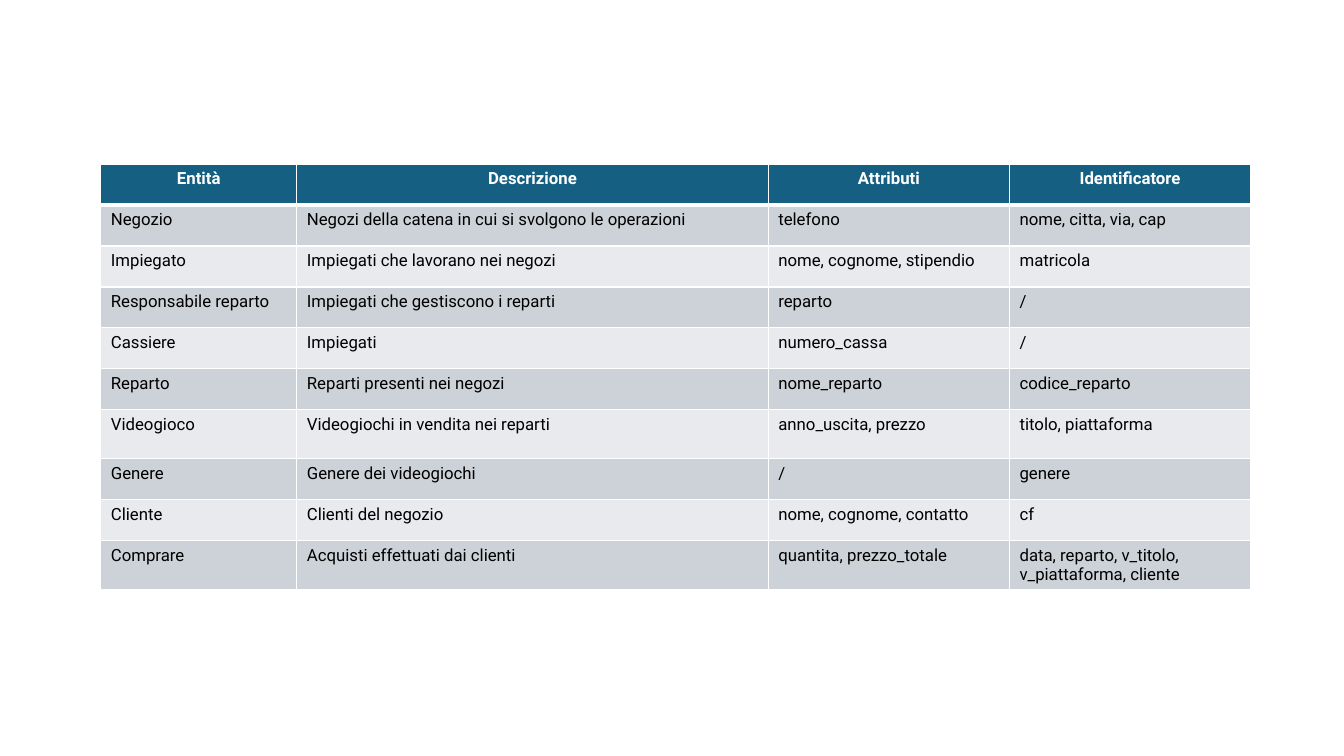
import dataclasses

import pptx
import pptx.dml.color
import pptx.enum.text
import pptx.oxml
import pptx.oxml.ns
import pptx.util

Cm = pptx.util.Cm
Pt = pptx.util.Pt
RGB = pptx.dml.color.RGBColor.from_string
Align = pptx.enum.text.PP_ALIGN


@dataclasses.dataclass(frozen=True)
class Theme:
    """Colours, font and sizes of the slide."""
    font: str = "Roboto"
    size: int = 12
    head: str = "156082"
    bands: tuple = ("CCD2D8", "E8EAED")
    light: str = "FFFFFF"
    dark: str = "000000"
    thin: int = 1
    thick: int = 3


THEME = Theme()
COLS = (4.94, 11.88, 6.08, 6.08)
LOW, TALL = 1.03, 1.24
ROWS = (
    (LOW, "Entità", "Descrizione", "Attributi", "Identificatore"),
    (LOW, "Negozio", "Negozi della catena in cui si svolgono le operazioni",
     "telefono", "nome, citta, via, cap"),
    (LOW, "Impiegato", "Impiegati che lavorano nei negozi",
     "nome, cognome, stipendio", "matricola"),
    (LOW, "Responsabile reparto", "Impiegati che gestiscono i reparti",
     "reparto", "/"),
    (LOW, "Cassiere", "Impiegati", "numero_cassa", "/"),
    (LOW, "Reparto", "Reparti presenti nei negozi",
     "nome_reparto", "codice_reparto"),
    (TALL, "Videogioco", "Videogiochi in vendita nei reparti",
     "anno_uscita, prezzo", "titolo, piattaforma"),
    (LOW, "Genere", "Genere dei videogiochi", "/", "genere"),
    (LOW, "Cliente", "Clienti del negozio", "nome, cognome, contatto", "cf"),
    (TALL, "Comprare", "Acquisti effettuati dai clienti",
     "quantita, prezzo_totale",
     "data, reparto, v_titolo, v_piattaforma, cliente"),
)


def edge(cell, row):
    """Draw the four borders of a cell, thick between header and body."""
    props = cell._tc.get_or_add_tcPr()
    heavy = {0: "B", 1: "T"}.get(row)
    for spot, side in enumerate("LRTB"):
        width = Pt(THEME.thick if side == heavy else THEME.thin)
        line = pptx.oxml.parse_xml(
            f'<a:ln{side} {pptx.oxml.ns.nsdecls("a")} w="{width}"><a:solidFill>'
            f'<a:srgbClr val="{THEME.light}"/></a:solidFill></a:ln{side}>')
        props.insert(spot, line)


def style(cell, text, row):
    """Write a cell and give it the look of its row."""
    head = row == 0
    cell.text = text
    cell.fill.solid()
    cell.fill.fore_color.rgb = RGB(
        THEME.head if head else THEME.bands[(row - 1) % 2])
    para = cell.text_frame.paragraphs[0]
    para.alignment = Align.CENTER if head else Align.LEFT
    font = para.runs[0].font
    looks = {"name": THEME.font, "size": Pt(THEME.size), "bold": head}
    for name, value in looks.items():
        setattr(font, name, value)
    font.color.rgb = RGB(THEME.light if head else THEME.dark)
    edge(cell, row)


def grid(slide, left, top, width, height):
    """Place the table of entities in the given box."""
    table = slide.shapes.add_table(
        len(ROWS), len(COLS), left, top, width, height).table
    for col, share in zip(table.columns, COLS):
        col.width = round(width * share / sum(COLS))
    total = sum(row[0] for row in ROWS)
    for index, (share, *texts) in enumerate(ROWS):
        table.rows[index].height = round(height * share / total)
        for place, text in enumerate(texts):
            style(table.cell(index, place), text, index)


def main():
    """Build the slide and save it."""
    deck = pptx.Presentation()
    deck.slide_width, deck.slide_height = Cm(33.87), Cm(19.05)
    slide = deck.slides.add_slide(deck.slide_layouts[6])
    grid(slide, Cm(2.54), Cm(4.14), Cm(28.98), Cm(10.72))
    deck.save("out.pptx")


if __name__ == "__main__":
    main()
